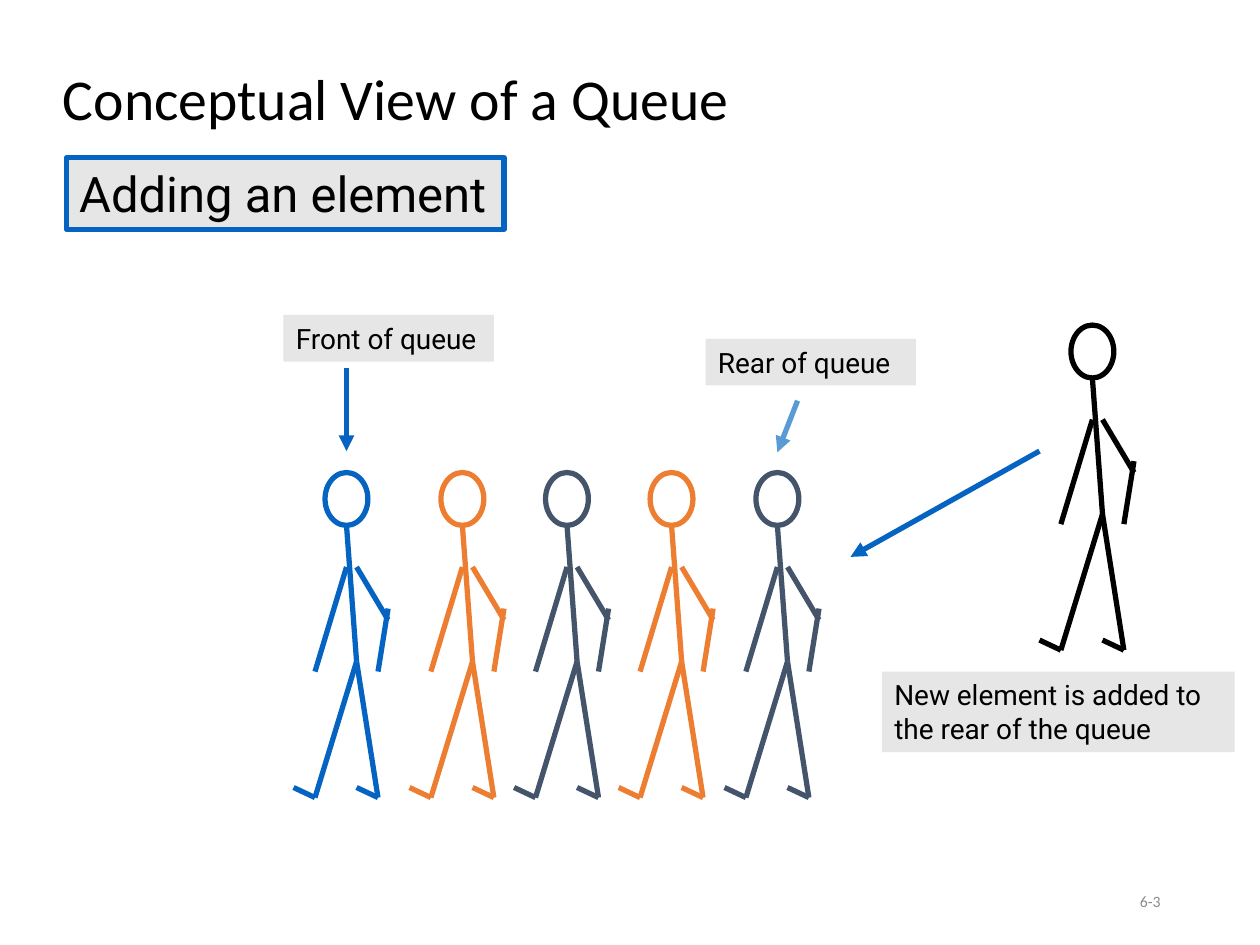
from lxml import etree
from pptx import Presentation
from pptx.dml.color import RGBColor
from pptx.enum import shapes, text
from pptx.oxml.ns import qn
from pptx.util import Inches, Pt

BLUE = RGBColor(0x05, 0x63, 0xC1)
ORANGE = RGBColor(0xED, 0x7D, 0x31)
SLATE = RGBColor(0x44, 0x54, 0x6A)
SKY = RGBColor(0x5B, 0x9B, 0xD5)
BLACK = RGBColor(0, 0, 0)
GREY = RGBColor(0x8C, 0x8C, 0x8C)
PALE = RGBColor(0xE7, 0xE6, 0xE6)

HIP = (0.08, 1.08)
BACK_HEEL, FRONT_HEEL = (-0.25, 2.16), (0.25, 2.16)
LIMBS = [
    ((0, 0), HIP),
    (HIP, BACK_HEEL),
    (HIP, FRONT_HEEL),
    (BACK_HEEL, (-0.42, 2.08)),
    (FRONT_HEEL, (0.08, 2.08)),
    ((0, 0.33), (-0.25, 1.16)),
    ((0.08, 0.33), (0.33, 0.75)),
    ((0.33, 0.66), (0.25, 1.16)),
]
QUEUE = [(2.75, BLUE), (3.67, ORANGE), (4.5, SLATE), (5.33, ORANGE), (6.17, SLATE)]
QUEUE_NECK = 4.17
NEWCOMER_NECK = (8.67, 3)
LABELS = [
    ("Front of queue", (2.25, 2.5, 1.67, 0.37)),
    ("Rear of queue", (5.6, 2.69, 1.67, 0.37)),
    ("New element is added to the rear of the queue", (7, 5.33, 2.8, 0.64)),
]
ARROWS = [
    ((2.75, 2.92), (2.75, 3.58), BLUE),
    ((8.25, 3.58), (6.75, 4.42), BLUE),
    ((6.33, 3.18), (6.17, 3.59), SKY),
]


def apply(target, formats):
    """Set each named attribute of target."""
    for name, value in formats.items():
        setattr(target, name, value)


def write(holder, wording, font, color=BLACK, frame=None, paragraph=None):
    """Put one formatted paragraph into a shape or text box."""
    apply(holder.text_frame, {"word_wrap": True, **(frame or {})})
    line = holder.text_frame.paragraphs[0]
    apply(line, {"text": wording, "alignment": text.PP_ALIGN.LEFT, **(paragraph or {})})
    apply(line.font, font)
    line.font.color.rgb = color


def add_caption(slide, wording, box, font, **formats):
    """Add plain text centred vertically in its box."""
    caption = slide.shapes.add_textbox(*map(Inches, box))
    middle = {"vertical_anchor": text.MSO_ANCHOR.MIDDLE}
    write(caption, wording, {"name": "Calibri", **font}, frame=middle, **formats)


def add_label(slide, wording, box, size=16, border=None):
    """Add a pale box with text and an optional border."""
    label = slide.shapes.add_shape(shapes.MSO_SHAPE.RECTANGLE, *map(Inches, box))
    label.shadow.inherit = False
    label.fill.solid()
    label.fill.fore_color.rgb = PALE
    if border is None:
        label.line.fill.background()
    else:
        label.line.color.rgb = border
        label.line.width = Pt(3)
    frame = {"vertical_anchor": text.MSO_ANCHOR.TOP,
             "auto_size": text.MSO_AUTO_SIZE.SHAPE_TO_FIT_TEXT}
    write(label, wording, {"name": "Roboto", "size": Pt(size)}, frame=frame)


def add_stroke(slide, start, end, color, arrow=False):
    """Draw a straight line, with an arrowhead at its end if asked."""
    stroke = slide.shapes.add_connector(
        shapes.MSO_CONNECTOR.STRAIGHT, *map(Inches, (*start, *end)))
    stroke.line.color.rgb = color
    stroke.line.width = Pt(3)
    if arrow:
        outline = stroke.line._get_or_add_ln()
        etree.SubElement(outline, qn("a:tailEnd"), type="triangle")
    etree.SubElement(stroke._element.spPr, qn("a:effectLst"))


def add_person(slide, neck_x, neck_y, color):
    """Draw a walking stick figure around its neck point."""
    head = slide.shapes.add_shape(
        shapes.MSO_SHAPE.OVAL,
        *map(Inches, (neck_x - 0.17, neck_y - 0.42, 0.34, 0.42)))
    head.shadow.inherit = False
    head.fill.background()
    head.line.color.rgb = color
    head.line.width = Pt(3)
    for start, end in LIMBS:
        joints = [(neck_x + x, neck_y + y) for x, y in (start, end)]
        add_stroke(slide, *joints, color)


def main():
    """Build the queue slide and save it."""
    deck = Presentation()
    apply(deck, {"slide_width": Inches(10), "slide_height": Inches(7.5)})
    slide = deck.slides.add_slide(deck.slide_layouts[6])
    add_caption(slide, "Conceptual View of a Queue", (0.4, 0.08, 8.62, 1.45),
                {"size": Pt(33)}, paragraph={"line_spacing": 0.9})
    add_caption(slide, "6-3", (7.06, 6.95, 2.25, 0.4), {"size": Pt(9)},
                color=GREY, paragraph={"alignment": text.PP_ALIGN.RIGHT})
    for neck_x, color in QUEUE:
        add_person(slide, neck_x, QUEUE_NECK, color)
    add_person(slide, *NEWCOMER_NECK, BLACK)
    add_label(slide, "Adding an element", (0.53, 1.25, 3.47, 0.57), 28, BLUE)
    for wording, box in LABELS:
        add_label(slide, wording, box)
    for start, end, color in ARROWS:
        add_stroke(slide, start, end, color, arrow=True)
    deck.save("out.pptx")


if __name__ == "__main__":
    main()
